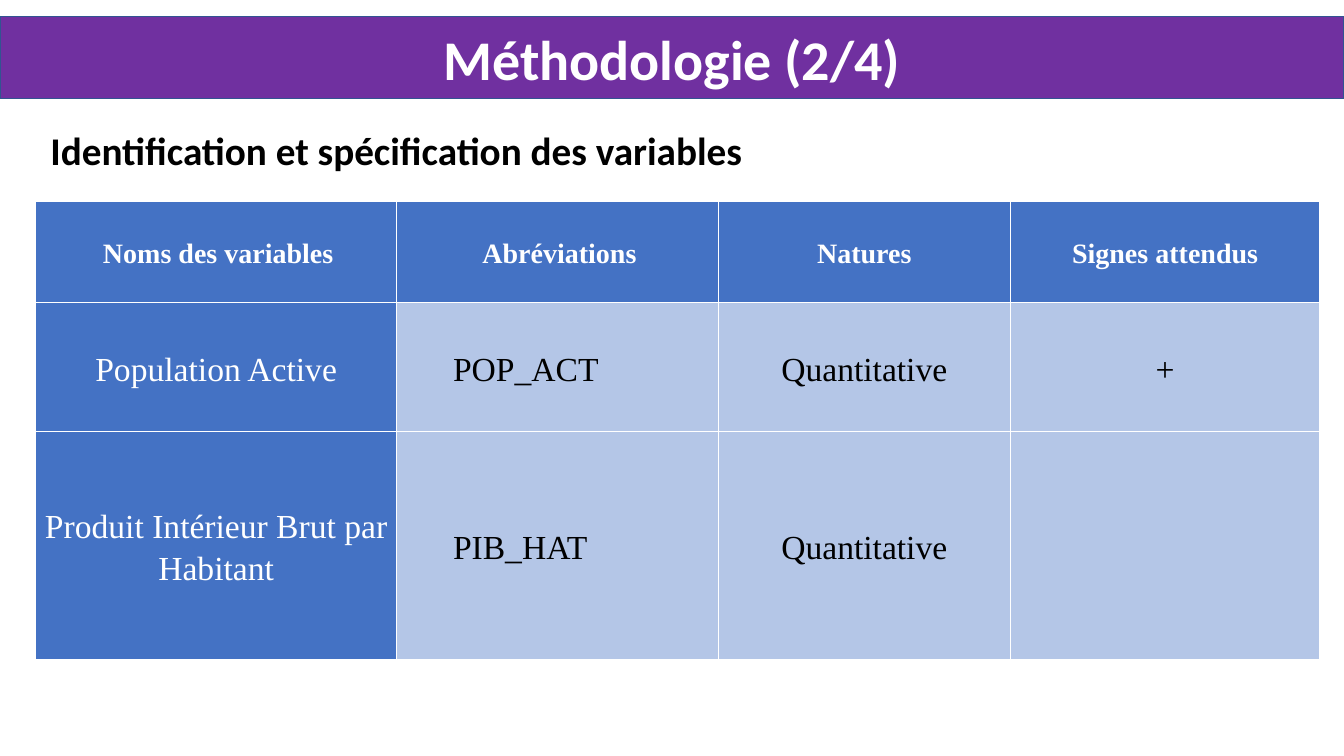
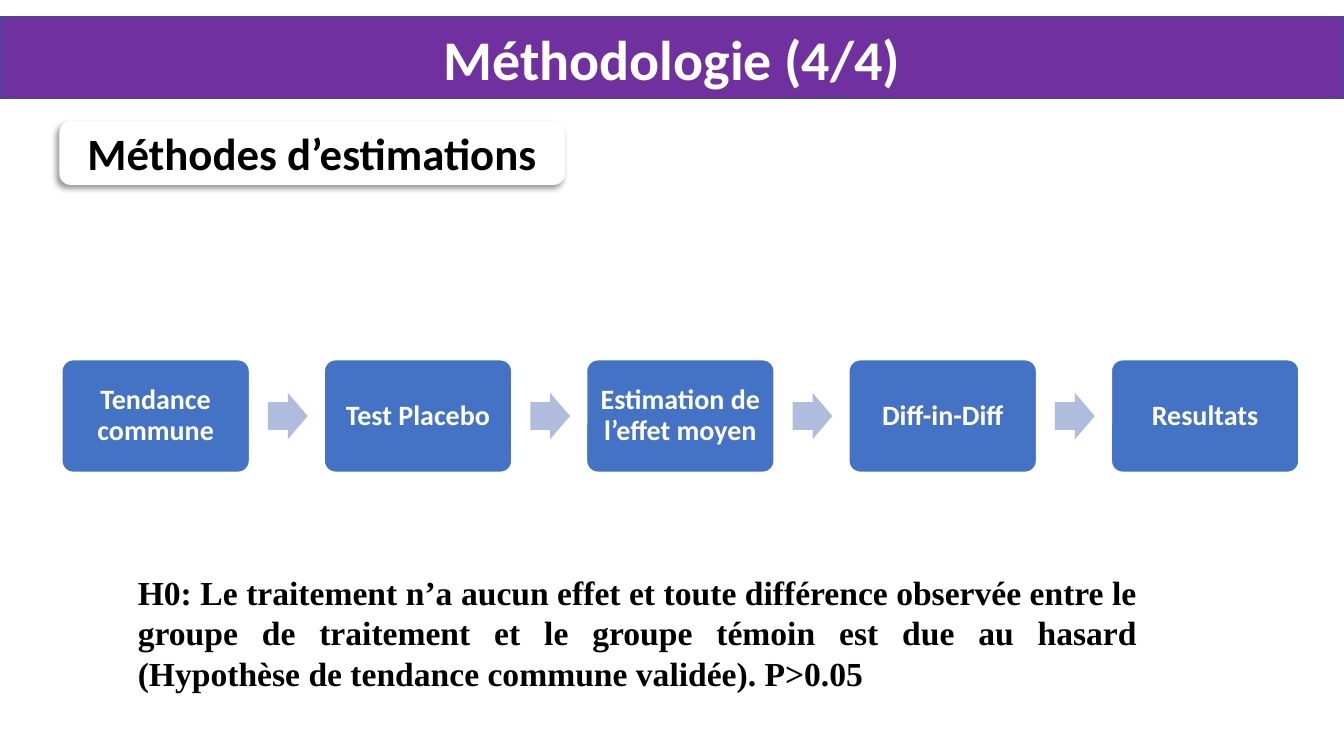
import pptx
import pptx.dml.color
import pptx.enum.shapes
import pptx.enum.text
import pptx.oxml
import pptx.oxml.ns
import pptx.util

Pt = pptx.util.Pt
SHAPE = pptx.enum.shapes.MSO_SHAPE
ALIGN = pptx.enum.text.PP_ALIGN
MIDDLE = pptx.enum.text.MSO_ANCHOR.MIDDLE
NS = pptx.oxml.ns.nsdecls("a")

PURPLE, NAVY, BLUE = "7030A0", "325491", "4472C4"
PALE, ARROW = "B4C6E7", "B0BCDE"
WHITE, BLACK = "FFFFFF", "000000"
SERIF = "Times New Roman"


def rgb(value):
    return pptx.dml.color.RGBColor.from_string(value)


def write(tf, text, size, color=WHITE, bold=True, font="Calibri",
          align=ALIGN.CENTER, spacing=None, indent=0):
    p = tf.paragraphs[0]
    p.alignment = align
    if spacing:
        p.line_spacing = spacing
    if indent:
        p._p.get_or_add_pPr().set("marL", str(Pt(indent)))
    r = p.add_run()
    r.text = text
    r.font.size = Pt(size)
    r.font.name = font
    r.font.bold = bold
    r.font.color.rgb = rgb(color)


prs = pptx.Presentation()
prs.slide_width, prs.slide_height = Pt(960), Pt(540)

headings = []
for title, heading, left, top, width, size in [
    ("Méthodologie (2/4)", "Identification et spécification des variables", 11.5, 85, 543, 28),
    ("Méthodologie (4/4)", "Méthodes d’estimations", 43, 87, 360, 32),
]:
    s = prs.slides.add_slide(prs.slide_layouts[5])
    band = s.shapes.title
    band.left, band.top, band.width, band.height = Pt(0), Pt(12), Pt(960), Pt(58.5)
    band.fill.solid()
    band.fill.fore_color.rgb = rgb(PURPLE)
    band.line.color.rgb = rgb(NAVY)
    band.line.width = Pt(1)
    band.text_frame.auto_size = pptx.enum.text.MSO_AUTO_SIZE.NONE
    band.text_frame.vertical_anchor = MIDDLE
    write(band.text_frame, title, 40)

    sp = s.shapes.add_shape(SHAPE.ROUNDED_RECTANGLE, Pt(left), Pt(top), Pt(width), Pt(44.6))
    sp.shadow.inherit = False
    sp.fill.solid()
    sp.fill.fore_color.rgb = rgb(WHITE)
    sp.line.fill.background()
    sp.text_frame.vertical_anchor = MIDDLE
    write(sp.text_frame, heading, size, BLACK)
    headings.append(sp)

variables, methods = prs.slides

rows = [
    ["Noms des variables", "Abréviations", "Natures", "Signes attendus"],
    ["Population Active", "POP_ACT", "Quantitative", "+"],
    ["Produit Intérieur Brut par Habitant", "PIB_HAT", "Quantitative", ""],
]
col_widths = [257.8, 229.7, 208.8, 221]
row_heights = [72, 92.2, 162.7]
tbl = variables.shapes.add_table(
    len(rows), len(col_widths), Pt(25.5), Pt(144),
    Pt(sum(col_widths)), Pt(sum(row_heights))).table
for col, width in zip(tbl.columns, col_widths):
    col.width = Pt(width)
for row, height in zip(tbl.rows, row_heights):
    row.height = Pt(height)

for i, texts in enumerate(rows):
    for j, text in enumerate(texts):
        cell = tbl.cell(i, j)
        header = i == 0
        dark = header or j == 0
        cell.vertical_anchor = MIDDLE
        cell.margin_left = cell.margin_right = Pt(5)
        cell.margin_top = cell.margin_bottom = 0
        cell.fill.solid()
        cell.fill.fore_color.rgb = rgb(BLUE if dark else PALE)
        tcPr = cell._tc.get_or_add_tcPr()
        for k, side in enumerate(["lnL", "lnR", "lnT", "lnB"]):
            tcPr.insert(k, pptx.oxml.parse_xml(
                f'<a:{side} {NS} w="{Pt(1)}"><a:solidFill>'
                f'<a:srgbClr val="{WHITE}"/></a:solidFill></a:{side}>'))
        if text:
            abbreviation = j == 1 and not header
            indent = 35.3 if abbreviation else 3 if header and j < 2 else 0
            write(cell.text_frame, text, 20 if header else 24,
                  WHITE if dark else BLACK, bold=header, font=SERIF,
                  align=ALIGN.LEFT if abbreviation else ALIGN.CENTER,
                  spacing=1.15, indent=indent)

sp = headings[1]
sp.line.color.rgb = rgb(WHITE)
sp.line.width = Pt(1)
effects = sp._element.spPr.find(pptx.oxml.ns.qn("a:effectLst"))
effects.append(pptx.oxml.parse_xml(
    f'<a:outerShdw {NS} blurRad="{Pt(4)}" dist="{Pt(3)}" dir="8100000" '
    f'algn="tr" rotWithShape="0"><a:srgbClr val="{BLACK}">'
    '<a:alpha val="40000"/></a:srgbClr></a:outerShdw>'))

steps = ["Tendance commune", "Test Placebo", "Estimation de l’effet moyen",
         "Diff-in-Diff", "Resultats"]
for i, step in enumerate(steps):
    left = 44.2 + 187.4 * i
    box = methods.shapes.add_shape(
        SHAPE.ROUNDED_RECTANGLE, Pt(left), Pt(257), Pt(134), Pt(80.4))
    box.adjustments[0] = 0.1
    box.shadow.inherit = False
    box.fill.solid()
    box.fill.fore_color.rgb = rgb(BLUE)
    box.line.color.rgb = rgb(WHITE)
    box.line.width = Pt(1)
    tf = box.text_frame
    tf.vertical_anchor = MIDDLE
    tf.margin_left = tf.margin_right = tf.margin_top = tf.margin_bottom = Pt(7)
    write(tf, step, 20, spacing=0.9)
    if i < len(steps) - 1:
        arrow = methods.shapes.add_shape(
            SHAPE.RIGHT_ARROW, Pt(left + 147.2), Pt(280.6), Pt(28.4), Pt(33.2))
        arrow.adjustments[0] = 0.6
        arrow.adjustments[1] = 0.5
        arrow.shadow.inherit = False
        arrow.fill.solid()
        arrow.fill.fore_color.rgb = rgb(ARROW)
        arrow.line.fill.background()

tf = methods.shapes.add_textbox(Pt(91.4), Pt(396.7), Pt(728), Pt(110)).text_frame
tf.word_wrap = True
tf.vertical_anchor = MIDDLE
write(tf, "H0: Le traitement n’a aucun effet et toute différence observée entre le "
      "groupe de traitement et le groupe témoin est due au hasard "
      "(Hypothèse de tendance commune validée). P>0.05",
      24, BLACK, font=SERIF, align=ALIGN.JUSTIFY)

prs.save("out.pptx")
